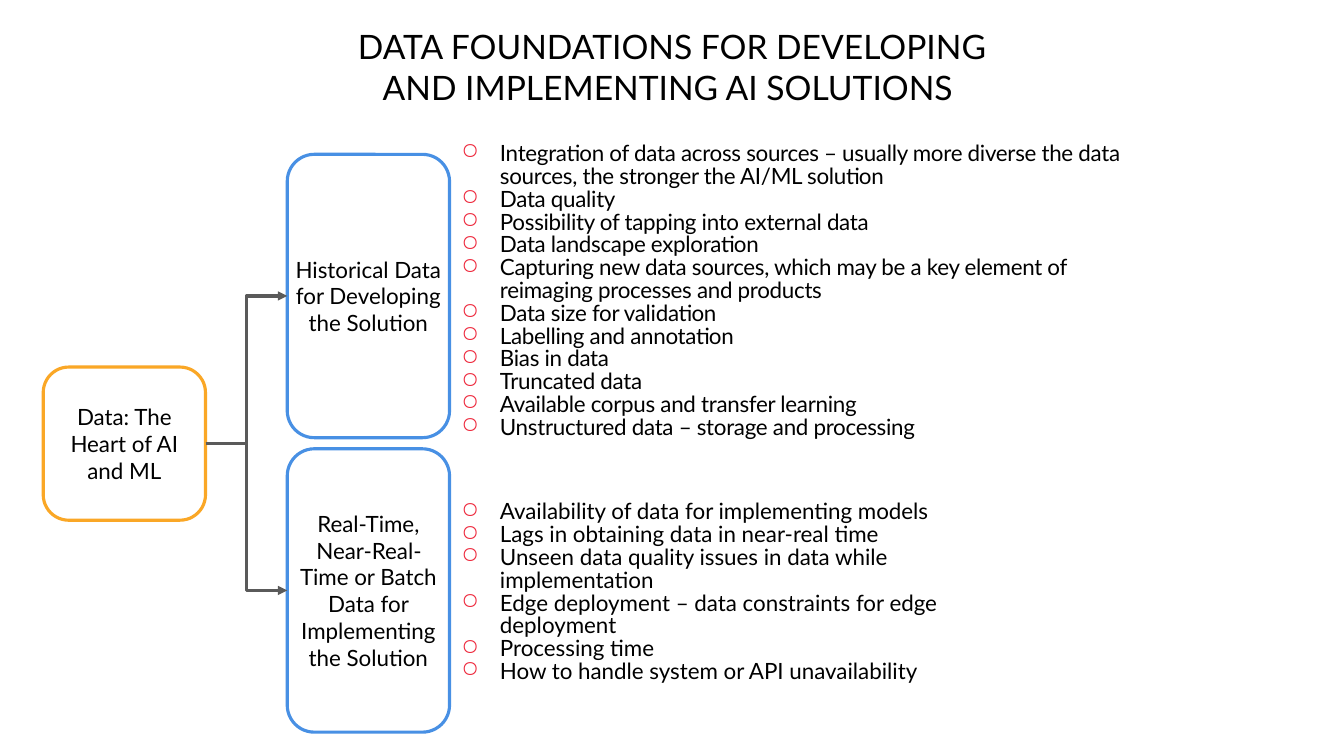
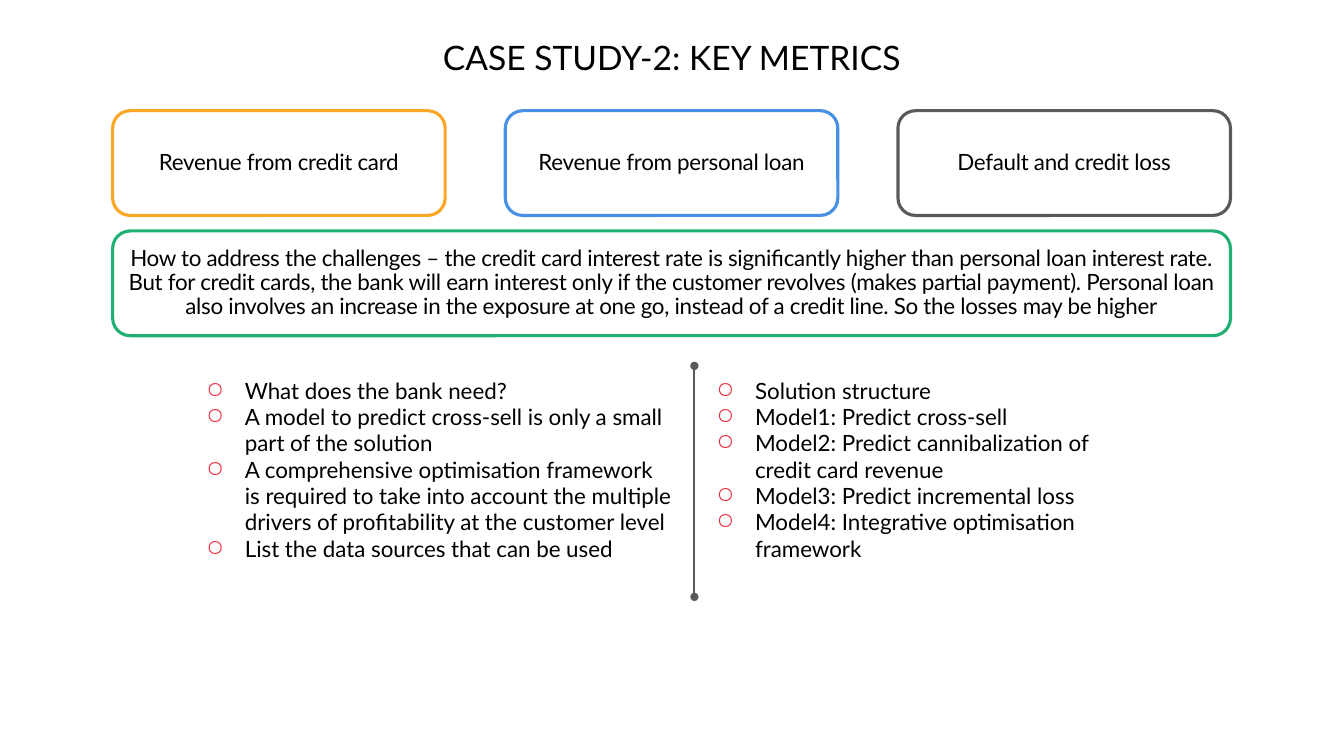
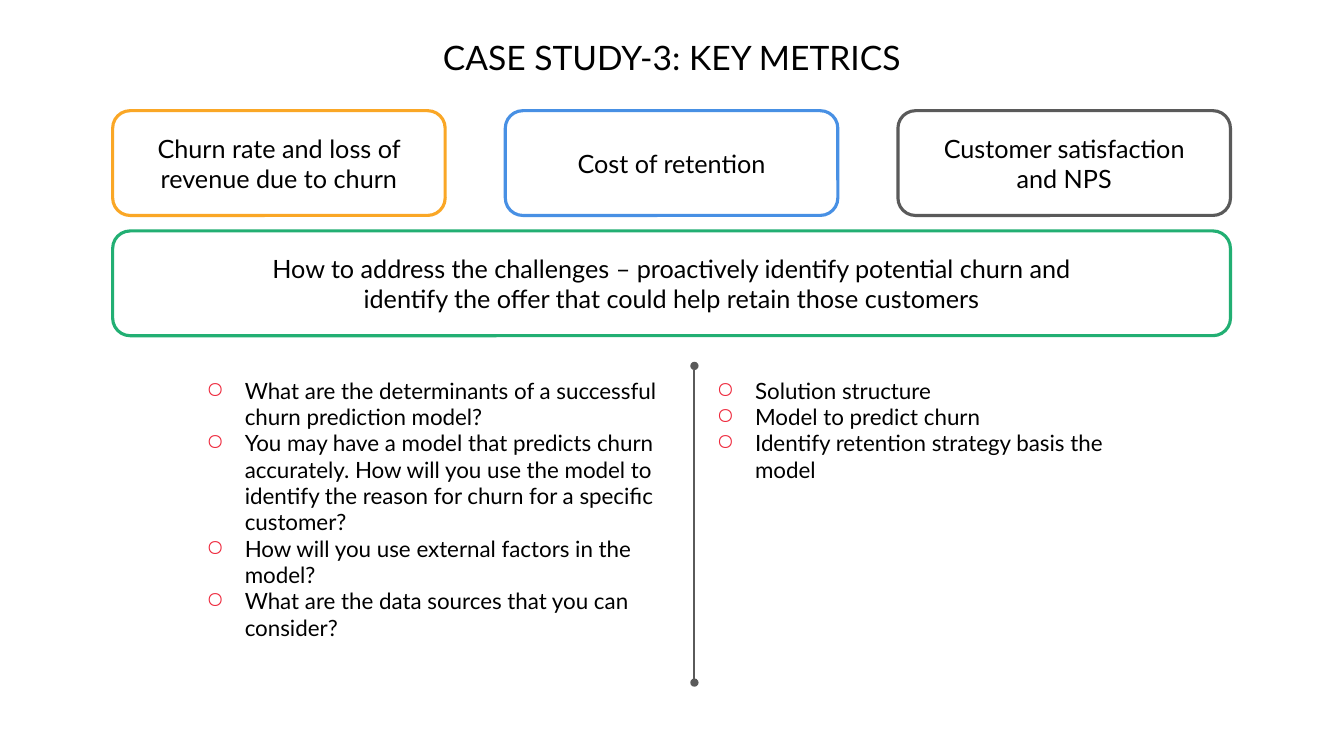
from copy import deepcopy

from lxml.etree import SubElement
from pptx import Presentation
from pptx.dml.color import RGBColor
from pptx.enum.shapes import MSO_CONNECTOR, MSO_SHAPE
from pptx.enum.text import MSO_ANCHOR, MSO_AUTO_SIZE, PP_ALIGN
from pptx.oxml.ns import qn
from pptx.util import Cm, Pt

# Shared style
FONT = "Lato"
BLACK = RGBColor(0x00, 0x00, 0x00)
ORANGE = RGBColor(0xFA, 0xA7, 0x26)
BLUE = RGBColor(0x48, 0x90, 0xE4)
GREY = RGBColor(0x5A, 0x5A, 0x5A)
GREEN = RGBColor(0x22, 0xAF, 0x73)
RED = RGBColor(0xEE, 0x28, 0x3C)
INDENT = Cm(0.97)
TIGHT = -20  # letter spacing, hundredths of a point

# Content: data foundations
FOUNDATIONS_TITLE = "DATA FOUNDATIONS FOR DEVELOPING\nAND IMPLEMENTING AI SOLUTIONS "
ROOT = "Data: The Heart of AI and ML"
BRANCHES = [
    {
        "name": "Historical Data for Developing the Solution",
        "area": (11.63, 3.78, 17.04, 7.14),
        "spc": TIGHT,
        "points": [
            "Integration of data across sources – usually more diverse the data "
            "sources, the stronger the AI/ML solution",
            "Data quality",
            "Possibility of tapping into external data",
            "Data landscape exploration",
            "Capturing new data sources, which may be a key element of "
            "reimaging processes and products",
            "Data size for validation",
            "Labelling and annotation",
            "Bias in data",
            "Truncated data",
            "Available corpus and transfer learning",
            "Unstructured data – storage and processing",
        ],
    },
    {
        "name": "Real-Time, Near-Real-Time or Batch Data for Implementing the Solution",
        "area": (11.63, 11.23, 13.97, 7.42),
        "spc": 0,
        "points": [
            "Availability of data for implementing models",
            "Lags in obtaining data in near-real time",
            "Unseen data quality issues in data while implementation",
            "Edge deployment – data constraints for edge deployment",
            "Processing time",
            "How to handle system or API unavailability",
        ],
    },
]

# Content: case studies
CASES = [
    {
        "title": "CASE STUDY-2: KEY METRICS",
        "metrics": ["Revenue from credit card", "Revenue from personal loan",
                    "Default and credit loss"],
        "challenge": "How to address the challenges – the credit card interest rate is "
                     "significantly higher than personal loan interest rate. But for credit "
                     "cards, the bank will earn interest only if the customer revolves "
                     "(makes partial payment). Personal loan also involves an increase in "
                     "the exposure at one go, instead of a credit line. So the losses may "
                     "be higher",
        "box_style": {"size": 16, "spacing": 0.9, "spc": TIGHT, "margins": (0.1, 0.1)},
        "questions": [
            "What does the bank need?",
            "A model to predict cross-sell is only a small part of the solution",
            "A comprehensive optimisation framework is required to take into account "
            "the multiple drivers of profitability at the customer level",
            "List the data sources that can be used",
        ],
        "solution": [
            "Solution structure",
            "Model1: Predict cross-sell",
            "Model2: Predict cannibalization of credit card revenue",
            "Model3: Predict incremental loss",
            "Model4: Integrative optimisation framework",
        ],
        "divider_end": 15.04,
    },
    {
        "title": "CASE STUDY-3: KEY METRICS",
        "metrics": ["Churn rate and loss of revenue due to churn", "Cost of retention",
                    "Customer satisfaction\nand NPS"],
        "challenge": "How to address the challenges – proactively identify potential churn "
                     "and\nidentify the offer that could help retain those customers",
        "box_style": {"size": 18, "margins": (0.2, 0.2)},
        "questions": [
            "What are the determinants of a successful churn prediction model?",
            "You may have a model that predicts churn accurately. How will you use the "
            "model to identify the reason for churn for a specific customer?",
            "How will you use external factors in the model?",
            "What are the data sources that you can consider?",
        ],
        "solution": [
            "Solution structure",
            "Model to predict churn",
            "Identify retention strategy basis the model",
        ],
        "divider_end": 17.2,
    },
]


# Text helpers
def set_frame(tf, anchor, margins):
    tf.word_wrap = True
    tf.auto_size = MSO_AUTO_SIZE.NONE
    tf.vertical_anchor = anchor
    tf.margin_left = tf.margin_right = Cm(margins[0])
    tf.margin_top = tf.margin_bottom = Cm(margins[1])


def write(p, text, size=16, spc=0):
    for i, line in enumerate(text.split("\n")):
        if i:
            p.add_line_break()
            # The break takes the size of the run before it
            p._p.findall(qn("a:br"))[-1].append(deepcopy(r._r.get_or_add_rPr()))
        r = p.add_run()
        r.text = line
        r.font.name = FONT
        r.font.size = Pt(size)
        r.font.color.rgb = BLACK
        if spc:
            r._r.get_or_add_rPr().set("spc", str(spc))


def add_title_slide(prs, title, area):
    s = prs.slides.add_slide(prs.slide_layouts[5])
    sp = s.shapes.title
    sp.left, sp.top, sp.width, sp.height = map(Cm, area)
    set_frame(sp.text_frame, MSO_ANCHOR.TOP, (0.13, 0.13))
    p = sp.text_frame.paragraphs[0]
    p.alignment = PP_ALIGN.CENTER
    write(p, title, 24)
    return s


def add_box(s, area, text, color, size=16, spacing=1.0, spc=0, margins=(0, 0)):
    sp = s.shapes.add_shape(MSO_SHAPE.ROUNDED_RECTANGLE, *map(Cm, area))
    sp.shadow.inherit = False
    sp.fill.background()
    sp.line.color.rgb = color
    sp.line.width = Pt(2.25)
    set_frame(sp.text_frame, MSO_ANCHOR.MIDDLE, margins)
    p = sp.text_frame.paragraphs[0]
    p.alignment = PP_ALIGN.CENTER
    p.line_spacing = spacing
    write(p, text, size, spc)
    return sp


def add_bullets(s, area, points, spacing, anchor=MSO_ANCHOR.TOP, margins=(0.25, 0.13), spc=0):
    tf = s.shapes.add_textbox(*map(Cm, area)).text_frame
    set_frame(tf, anchor, margins)
    for i, point in enumerate(points):
        p = tf.add_paragraph() if i else tf.paragraphs[0]
        pPr = p._p.get_or_add_pPr()
        pPr.set("marL", str(INDENT))
        pPr.set("indent", str(-INDENT))
        clr = SubElement(pPr, qn("a:buClr"))
        SubElement(clr, qn("a:srgbClr"), val=str(RED))
        SubElement(pPr, qn("a:buChar"), char="○")
        p.line_spacing = spacing
        write(p, point, spc=spc)


def add_line(s, kind, ends, width, head=None, tail=None):
    c = s.shapes.add_connector(kind, *map(Cm, ends))
    c.line.color.rgb = GREY
    c.line.width = Pt(width)
    spPr = c._element.spPr
    ln = spPr.find(qn("a:ln"))
    for tag, style in (("a:headEnd", head), ("a:tailEnd", tail)):
        if style:
            SubElement(ln, qn(tag), type=style)
    SubElement(spPr, qn("a:effectLst"))
    return c


# Slides
def foundations_slide(prs):
    s = add_title_slide(prs, FOUNDATIONS_TITLE, (2.62, 0.53, 28.63, 2.31))
    box_w, branch_h, branch_pitch = 4.09, 7.14, 7.42
    root = add_box(s, (1.09, 9.25, box_w, 3.86), ROOT, ORANGE)
    for i, branch in enumerate(BRANCHES):
        box = add_box(s, (7.24, 3.89 + i * branch_pitch, box_w, branch_h), branch["name"], BLUE)
        add_bullets(s, branch["area"], branch["points"], 0.85, MSO_ANCHOR.MIDDLE, (0, 0),
                    branch["spc"])
        c = add_line(s, MSO_CONNECTOR.ELBOW, (0, 0, 1, 1), 2.25, tail="triangle")
        c.begin_connect(root, 3)
        c.end_connect(box, 1)


def case_slide(prs, case):
    s = add_title_slide(prs, case["title"], (4.27, 0.81, 25.32, 1.27))
    left, band_w, card_w, box_h = 2.84, 28.17, 8.38, 2.64

    # Metric cards spread over the width of the challenge band
    pitch = (band_w - card_w) / (len(case["metrics"]) - 1)
    for i, (metric, color) in enumerate(zip(case["metrics"], (ORANGE, BLUE, GREY))):
        add_box(s, (left + i * pitch, 2.79, card_w, box_h), metric, color, **case["box_style"])
    add_box(s, (left, 5.82, band_w, box_h), case["challenge"], GREEN, **case["box_style"])

    # Questions and solution on either side of the divider
    add_bullets(s, (4.95, 9.4, 12.22, 7.62), case["questions"], 0.98)
    add_bullets(s, (17.81, 9.4, 11.1, 4.95), case["solution"], 0.98)
    add_line(s, MSO_CONNECTOR.STRAIGHT, (17.5, 9.22, 17.5, case["divider_end"]), 1.5,
             "oval", "oval")


def main():
    prs = Presentation()
    prs.slide_width, prs.slide_height = Cm(33.87), Cm(19.05)
    foundations_slide(prs)
    for case in CASES:
        case_slide(prs, case)
    prs.save("out.pptx")


if __name__ == "__main__":
    main()
